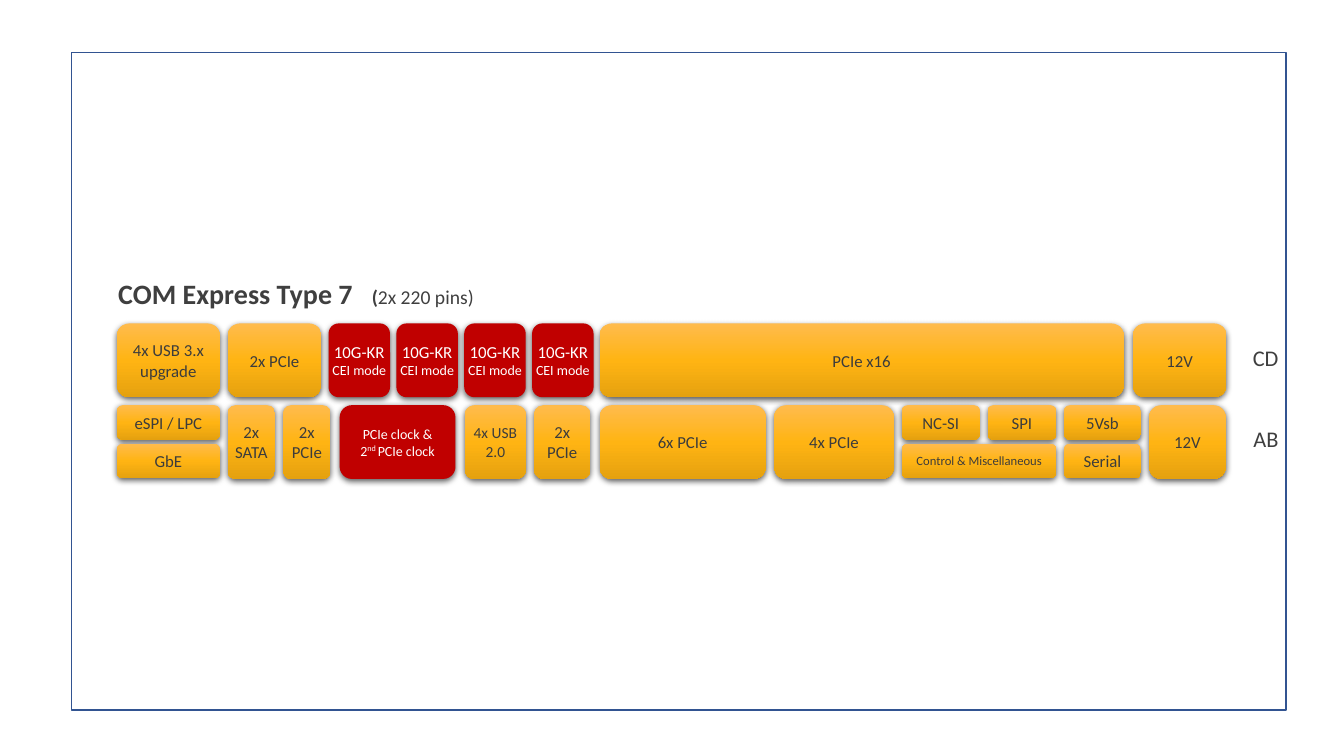
"""Draw the COM Express Type 7 connector map on one slide."""
from copy import deepcopy

from lxml.etree import SubElement
from pptx import Presentation
from pptx.dml.color import RGBColor
from pptx.enum.shapes import MSO_SHAPE
from pptx.enum.text import MSO_ANCHOR, PP_ALIGN
from pptx.oxml.ns import qn
from pptx.util import Cm, Pt

COLORS = {
    "frame": "325491", "heading": "3F3F3F", "label": "3C3C3C",
    "amber_top": "FFBB4D", "amber_mid": "FFB413", "amber_low": "E5A10F",
    "red": "C00000", "white": "FFFFFF", "shadow": "000000",
}
FULL, HALF = 1.86, 0.87
CD_TOP, AB_TOP, AB_LOWER_TOP = 8.15, 10.21, 11.18
KR_LEFT, KR_PITCH, KR_WIDTH = 8.28, 1.71, 1.55

AMBER_ROWS = [
    (CD_TOP, FULL, [
        ("4x USB 3.x\vupgrade", 2.95, 2.59, 12), ("2x PCIe", 5.74, 2.36, 12),
        ("PCIe x16", 15.11, 13.21, 12), ("12V", 28.55, 2.36, 12),
    ]),
    (AB_TOP, FULL, [
        ("2x SATA", 5.74, 1.19, 12), ("2x PCIe", 7.14, 1.19, 12),
        ("4x USB\v2.0", 11.71, 1.55, 11), ("2x\nPCIe", 13.46, 1.42, 12),
        ("6x PCIe", 15.11, 4.19, 12), ("4x PCIe", 19.51, 3.02, 12),
        ("12V", 28.96, 1.93, 12),
    ]),
    (AB_TOP, HALF, [
        ("eSPI / LPC", 2.95, 2.59, 12), ("NC-SI", 22.73, 1.96, 12),
        ("SPI", 24.89, 1.73, 12), ("5Vsb", 26.82, 1.93, 12),
    ]),
    (AB_LOWER_TOP, HALF, [
        ("GbE", 2.95, 2.59, 12), ("Control & Miscellaneous", 22.73, 3.89, 9),
        ("Serial", 26.82, 1.93, 12),
    ]),
]


def rgb(name):
    return RGBColor.from_string(COLORS[name])


def set_font(font, size, color):
    font.name, font.size = "Calibri", Pt(size)
    font.color.rgb = rgb(color)


def clear_margins(frame):
    frame.word_wrap = True
    frame.margin_left = frame.margin_right = 0
    frame.margin_top = frame.margin_bottom = 0


def add_shadow(block):
    block.shadow.inherit = False
    effects = block._element.spPr.find(qn("a:effectLst"))
    outer = SubElement(effects, qn("a:outerShdw"), blurRad=str(Pt(4.5)),
                       dist=str(Pt(1.5)), dir="5400000", rotWithShape="0")
    color = SubElement(outer, qn("a:srgbClr"), val=COLORS["shadow"])
    SubElement(color, qn("a:alpha"), val="63000")


def fill_amber(block):
    block.fill.gradient()
    block.fill.gradient_angle = 270
    stops = block._element.spPr.find(".//" + qn("a:gsLst"))
    stops.append(deepcopy(stops[-1]))
    shades = ("amber_top", "amber_mid", "amber_low")
    for stop, shade, position in zip(block.fill.gradient_stops, shades, (0, 0.5, 1)):
        stop.color.rgb = rgb(shade)
        stop.position = position


def add_block(slide, label, left, top, width, height, sizes, red=False):
    """Add a shadowed block; sizes holds one text size per paragraph."""
    block = slide.shapes.add_shape(MSO_SHAPE.ROUNDED_RECTANGLE, Cm(left), Cm(top),
                                   Cm(width), Cm(height))
    add_shadow(block)
    block.line.fill.background()
    if red:
        block.fill.solid()
        block.fill.fore_color.rgb = rgb("red")
    else:
        fill_amber(block)
    frame = block.text_frame
    clear_margins(frame)
    frame.vertical_anchor = MSO_ANCHOR.MIDDLE
    frame.text = label
    for paragraph, size in zip(frame.paragraphs, sizes):
        paragraph.alignment = PP_ALIGN.CENTER
        set_font(paragraph.font, size, "white" if red else "label")
    return block


def add_clock_block(slide):
    clock = add_block(slide, "PCIe clock &\n2", 8.56, AB_TOP, 2.92, FULL,
                      (10, 10), red=True)
    second_line = clock.text_frame.paragraphs[1]
    ordinal = second_line.add_run()
    ordinal.text = "nd "
    ordinal._r.get_or_add_rPr().set("baseline", "30000")
    second_line.add_run().text = "PCIe clock"


def add_frame(slide):
    border = slide.shapes.add_shape(MSO_SHAPE.RECTANGLE, Cm(1.81), Cm(1.32),
                                    Cm(30.6), Cm(16.57))
    border.shadow.inherit = False
    border.fill.background()
    border.line.color.rgb = rgb("frame")
    border.line.width = Pt(1)


def add_heading(slide):
    heading = slide.shapes.add_textbox(Cm(2.98), Cm(6.84), Cm(9.5), Cm(1.12))
    frame = heading.text_frame
    clear_margins(frame)
    frame.vertical_anchor = MSO_ANCHOR.MIDDLE
    line = frame.paragraphs[0]
    tabs = SubElement(line._p.get_or_add_pPr(), qn("a:tabLst"))
    SubElement(tabs, qn("a:tab"), pos=str(Cm(6.39)), algn="l")
    set_font(line.font, 20, "heading")
    for words, size, bold in (("COM Express Type 7", 20, True), ("\t(", 14, True),
                              ("2x 220 pins)", 14, False)):
        run = line.add_run()
        run.text = words
        run.font.size, run.font.bold = Pt(size), bold


def add_row_names(slide):
    names = slide.shapes.add_textbox(Cm(31.12), Cm(8.66), Cm(1.1), Cm(2.67))
    frame = names.text_frame
    clear_margins(frame)
    frame.text = "CD\nAB"
    for name in frame.paragraphs:
        name.alignment = PP_ALIGN.RIGHT
        set_font(name.font, 16, "heading")
    frame.paragraphs[1].space_before = Pt(39)


def main():
    deck = Presentation()
    deck.slide_width, deck.slide_height = Cm(33.87), Cm(19.05)
    slide = deck.slides.add_slide(deck.slide_layouts[6])
    add_frame(slide)
    add_heading(slide)
    for top, height, blocks in AMBER_ROWS:
        for label, left, width, size in blocks:
            add_block(slide, label, left, top, width, height, (size, size))
    add_clock_block(slide)
    for lane in range(4):
        add_block(slide, "10G-KR\nCEI mode", KR_LEFT + lane * KR_PITCH, CD_TOP,
                  KR_WIDTH, FULL, (12, 10), red=True)
    add_row_names(slide)
    deck.save("out.pptx")


if __name__ == "__main__":
    main()
